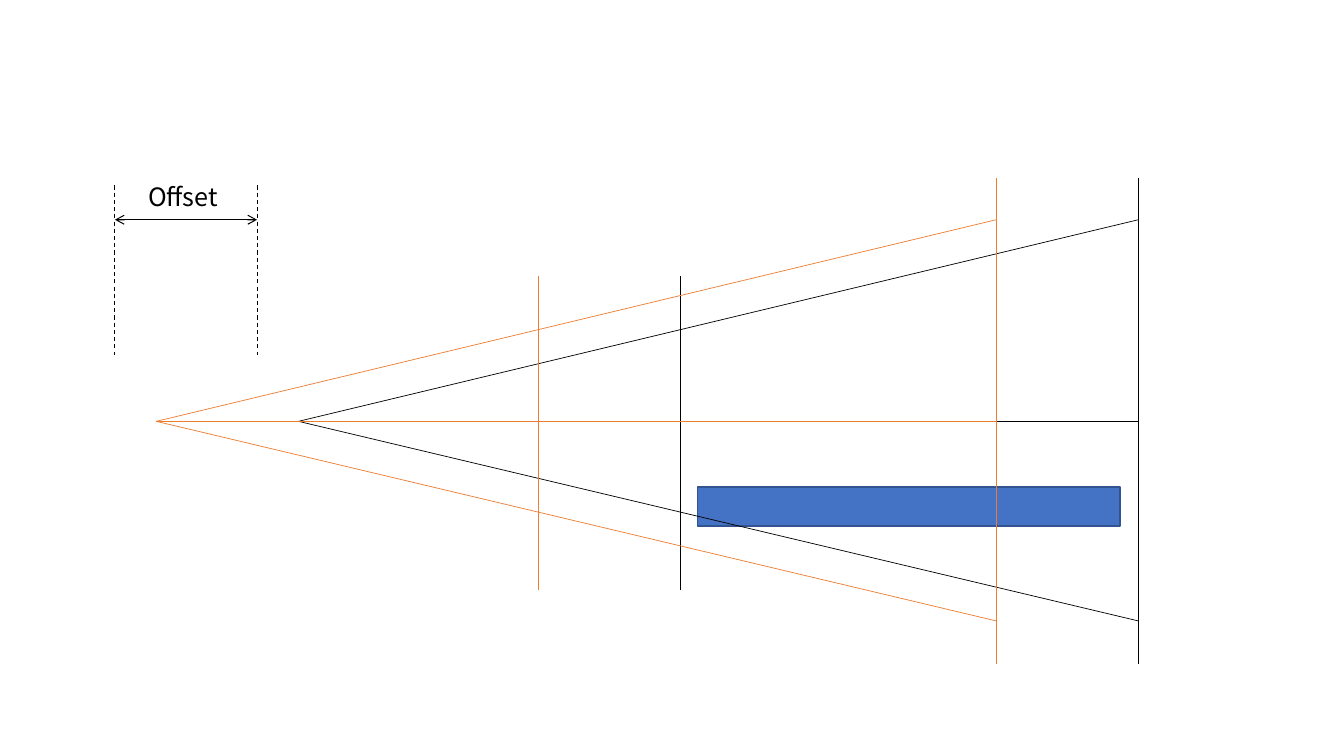
import pptx
import pptx.util
import pptx.dml.color
import pptx.enum.dml
import pptx.enum.shapes
import pptx.enum.text
import pptx.oxml.ns
import lxml.etree

RGB = pptx.dml.color.RGBColor
BLACK = RGB(0x00, 0x00, 0x00)
ORANGE = RGB(0xED, 0x7D, 0x31)
BLUE = RGB(0x44, 0x72, 0xC4)
NAVY = RGB(0x32, 0x54, 0x91)
FONT = "Noto Sans CJK KR"
CELL = 0.1  # grid step in inches
SHIFT = 14.1  # columns between the two views


def size(cells):
    return pptx.util.Inches(cells * CELL)


def style(target, values):
    for name, value in values.items():
        setattr(target, name, value)


def add_line(shapes, box, start, end, color, width, dash=None, arrows=False):
    left, top = box
    ends = [size(n) for n in (left + start[0], top + start[1],
                              left + end[0], top + end[1])]
    link = shapes.add_connector(pptx.enum.shapes.MSO_CONNECTOR.STRAIGHT, *ends)
    link.line.color.rgb = color
    style(link.line, {"width": pptx.util.Pt(width), "dash_style": dash})
    qn = pptx.oxml.ns.qn
    if arrows:
        outline = link.line._get_or_add_ln()
        for tag in ("a:headEnd", "a:tailEnd"):
            lxml.etree.SubElement(outline, qn(tag)).set("type", "arrow")
    lxml.etree.SubElement(link._element.spPr, qn("a:effectLst"))


def add_object(slide, box):
    bar = slide.shapes.add_shape(pptx.enum.shapes.MSO_SHAPE.RECTANGLE,
                                 *map(size, box))
    bar.shadow.inherit = False
    bar.fill.solid()
    bar.fill.fore_color.rgb = BLUE
    bar.line.color.rgb = NAVY
    bar.line.width = pptx.util.Pt(1)


def add_view(slide, box, color):
    """Draw a cone of three rays crossed by a near and a far plane."""
    shapes = slide.shapes.add_group_shape().shapes
    eye, far = (0, 24.1), 83.3
    # Rays
    for row in (43.9, 24.1, 4.1):
        add_line(shapes, box, eye, (far, row), color, 0.5)
    # Planes
    for col, top, bottom in ((37.9, 9.7, 40.8), (far, 0, 48.2)):
        add_line(shapes, box, (col, top), (col, bottom), color, 0.5)


def add_offset(slide, box):
    left, top = box
    shapes = slide.shapes
    # Guides
    for col in (SHIFT, 0):
        add_line(shapes, box, (col, 0), (col, 16.8), BLACK, 0.75,
                 dash=pptx.enum.dml.MSO_LINE.DASH)
    # Label
    label = shapes.add_textbox(size(left + 2.1), size(top - 0.9),
                               size(9.3), size(4))
    style(label.text_frame, {
        "word_wrap": False,
        "auto_size": pptx.enum.text.MSO_AUTO_SIZE.SHAPE_TO_FIT_TEXT})
    para = label.text_frame.paragraphs[0]
    style(para, {"text": "Offset", "alignment": pptx.enum.text.PP_ALIGN.CENTER})
    font = para.runs[0].font
    style(font, {"name": FONT, "size": pptx.util.Pt(18)})
    font.color.rgb = BLACK
    # Span arrow
    add_line(shapes, box, (0, 3.4), (SHIFT, 3.4), BLACK, 0.75, arrows=True)


def main():
    deck = pptx.Presentation()
    style(deck, {"slide_width": pptx.util.Inches(13.33),
                 "slide_height": pptx.util.Inches(7.5)})
    slide = deck.slides.add_slide(deck.slide_layouts[6])
    add_object(slide, (69.2, 48.3, 41.9, 3.9))
    for step, color in enumerate((BLACK, ORANGE)):
        add_view(slide, (29.6 - step * SHIFT, 17.7), color)
    add_offset(slide, (11.4, 18.4))
    deck.save("out.pptx")


if __name__ == "__main__":
    main()
